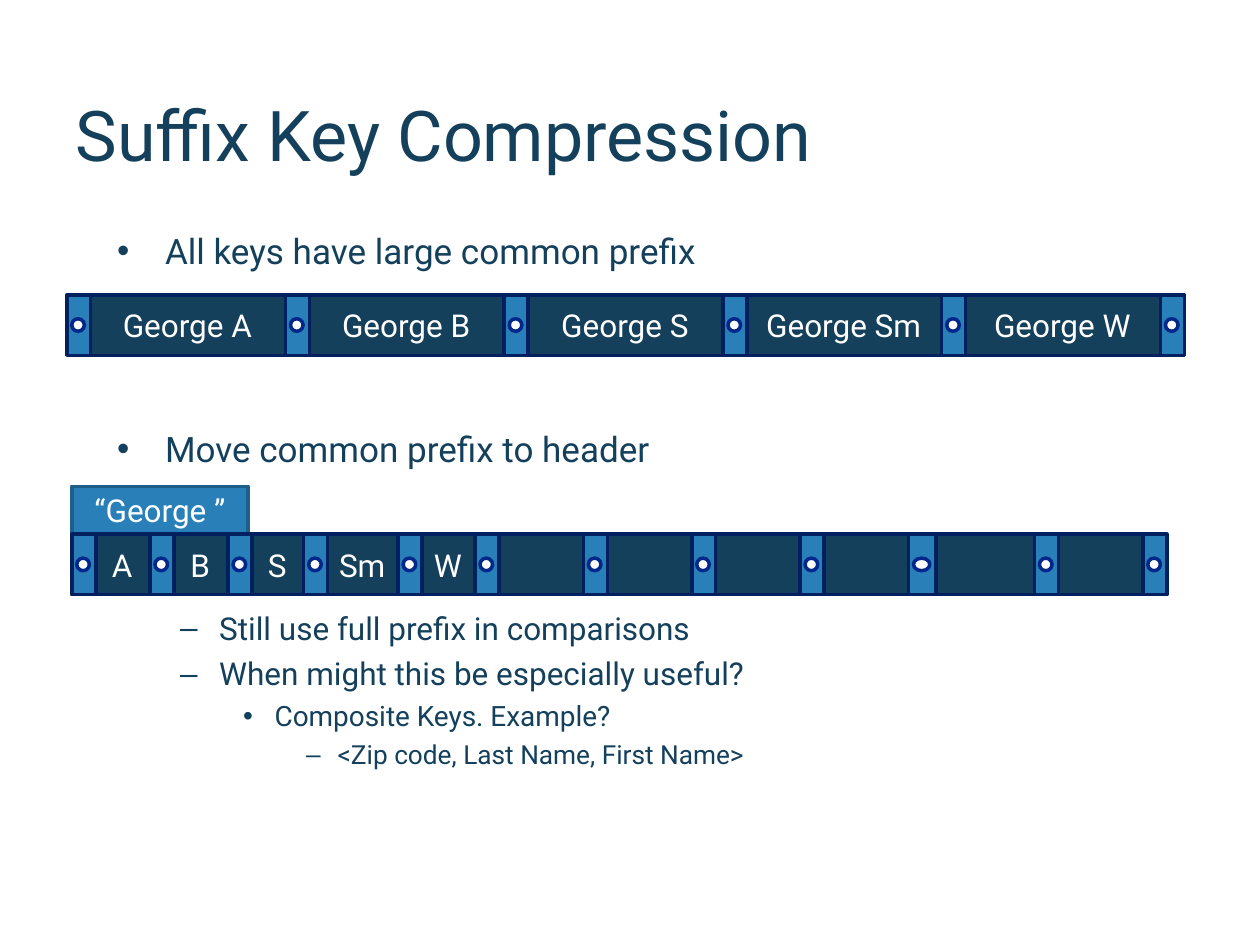
import pptx
import pptx.dml.color
import pptx.enum.shapes
import pptx.enum.text
import pptx.oxml.ns
import pptx.util
from lxml import etree

Inches = pptx.util.Inches
Pt = pptx.util.Pt
Shapes = pptx.enum.shapes.MSO_SHAPE
Align = pptx.enum.text.PP_ALIGN
Anchor = pptx.enum.text.MSO_ANCHOR

NAVY, BLUE, WHITE = "14405C", "2980B9", "FFFFFF"
EDGE, RING, HEADER_EDGE = "002060", "002789", "1E5F89"
ROW_HEIGHT, POINTER_WIDTH, DOT_SIZE = 0.48, 0.19, 0.1

BULLETS = [
    ("All keys have large common prefix", 0, 20, 4.7),
    ("Move common prefix to header", 0, 20, 89),
    ("Still use full prefix in comparisons", 1, 18, 80),
    ("When might this be especially useful?", 1, 18, 4.2),
    ("Composite Keys. Example?", 2, 16, 3.8),
    ("<Zip code, Last Name, First Name>", 3, 15, 3.5),
]
LEVELS = [(0.38, 0.38, "•"), (0.81, 0.31, "–"), (1.25, 0.25, "•"), (1.75, 0.25, "–")]


def color(value):
    """Turn a hex string into a colour."""
    return pptx.dml.color.RGBColor.from_string(value)


def write(para, text, size=18, fill=NAVY, align=Align.LEFT, before=0):
    """Put formatted text into a paragraph."""
    para.alignment = align
    para.space_before = Pt(before)
    span = para.add_run()
    span.text = text
    span.font.name = "Roboto"
    span.font.size = Pt(size)
    span.font.color.rgb = color(fill)


def place(shape, left, top, width, height):
    """Move and size a shape in inches."""
    shape.left, shape.top = Inches(left), Inches(top)
    shape.width, shape.height = Inches(width), Inches(height)


def set_bullet(para, level):
    """Give a paragraph the indent and bullet of its level."""
    margin, hanging, mark = LEVELS[level]
    para.level = level
    props = para._p.get_or_add_pPr()
    props.set("marL", str(Inches(margin)))
    props.set("indent", str(-Inches(hanging)))
    bullet = etree.SubElement(props, pptx.oxml.ns.qn("a:buChar"))
    bullet.set("char", mark)


def add_title(page, left, top, width, height):
    """Fill the title placeholder."""
    title = page.shapes.title
    place(title, left, top, width, height)
    frame = title.text_frame
    frame.auto_size = pptx.enum.text.MSO_AUTO_SIZE.NONE
    frame.vertical_anchor = Anchor.TOP
    frame.margin_top = frame.margin_bottom = 0
    write(frame.paragraphs[0], "Suffix Key Compression", size=40)


def add_body(page, left, top, width, height):
    """Fill the body placeholder with the bulleted list."""
    body = page.placeholders[1]
    place(body, left, top, width, height)
    frame = body.text_frame
    frame.auto_size = pptx.enum.text.MSO_AUTO_SIZE.NONE
    for index, (text, level, size, before) in enumerate(BULLETS):
        para = frame.add_paragraph() if index else frame.paragraphs[0]
        write(para, text, size=size, before=before)
        set_bullet(para, level)


def add_block(group, kind, left, top, width, height, fill, line, text=""):
    """Add one outlined shape with optional centred text."""
    block = group.shapes.add_shape(
        kind, Inches(left), Inches(top), Inches(width), Inches(height))
    block.shadow.inherit = False
    block.fill.solid()
    block.fill.fore_color.rgb = color(fill)
    block.line.color.rgb = color(line)
    block.line.width = Pt(2)
    if text:
        frame = block.text_frame
        frame.margin_left = frame.margin_right = 0
        frame.vertical_anchor = Anchor.MIDDLE
        write(frame.paragraphs[0], text, fill=WHITE, align=Align.CENTER)


def add_node(group, left, top, offsets, keys, widths=None):
    """Draw an index node with a pointer at each offset and keys between."""
    for index, offset in enumerate(offsets):
        start = left + offset
        width = (widths or {}).get(index, POINTER_WIDTH)
        if index + 1 < len(offsets):
            key_left = start + width - 0.01
            key_width = left + offsets[index + 1] - key_left
            text = keys[index] if index < len(keys) else ""
            add_block(group, Shapes.RECTANGLE, key_left, top, key_width,
                      ROW_HEIGHT, NAVY, EDGE, text)
        add_block(group, Shapes.RECTANGLE, start, top, width, ROW_HEIGHT, BLUE, EDGE)
        add_block(group, Shapes.OVAL, start + 0.04, top + (ROW_HEIGHT - DOT_SIZE) / 2,
                  width - 0.09, DOT_SIZE, WHITE, RING)


def add_full_node(page, left, top):
    """Draw the node that stores whole keys."""
    names = ["A", "B", "S", "Sm", "W"]
    offsets = [8.68 / len(names) * index for index in range(len(names) + 1)]
    add_node(page.shapes.add_group_shape(), left, top, offsets,
             ["George " + name for name in names])


def add_compressed_node(page, left, top):
    """Draw the node with its common prefix in a header."""
    group = page.shapes.add_group_shape()
    add_block(group, Shapes.RECTANGLE, left, top, 1.4, 0.38, BLUE, HEADER_EDGE,
              "“George ”")
    offsets = [0, 0.62, 1.24, 1.84, 2.59, 3.2, 4.06, 4.92, 5.78, 6.64, 7.64, 8.5]
    add_node(group, left, top + 0.38, offsets, ["A", "B", "S", "Sm", "W"],
             widths={9: 0.22})


def main():
    """Build and save the slide."""
    deck = pptx.Presentation()
    deck.slide_width, deck.slide_height = Inches(10), Inches(7.5)
    page = deck.slides.add_slide(deck.slide_layouts[1])
    add_title(page, 0.5, 0.73, 9, 0.57)
    add_body(page, 0.83, 1.77, 8.35, 4.48)
    add_full_node(page, 0.53, 2.34)
    add_compressed_node(page, 0.57, 3.86)
    deck.save("out.pptx")


main()
